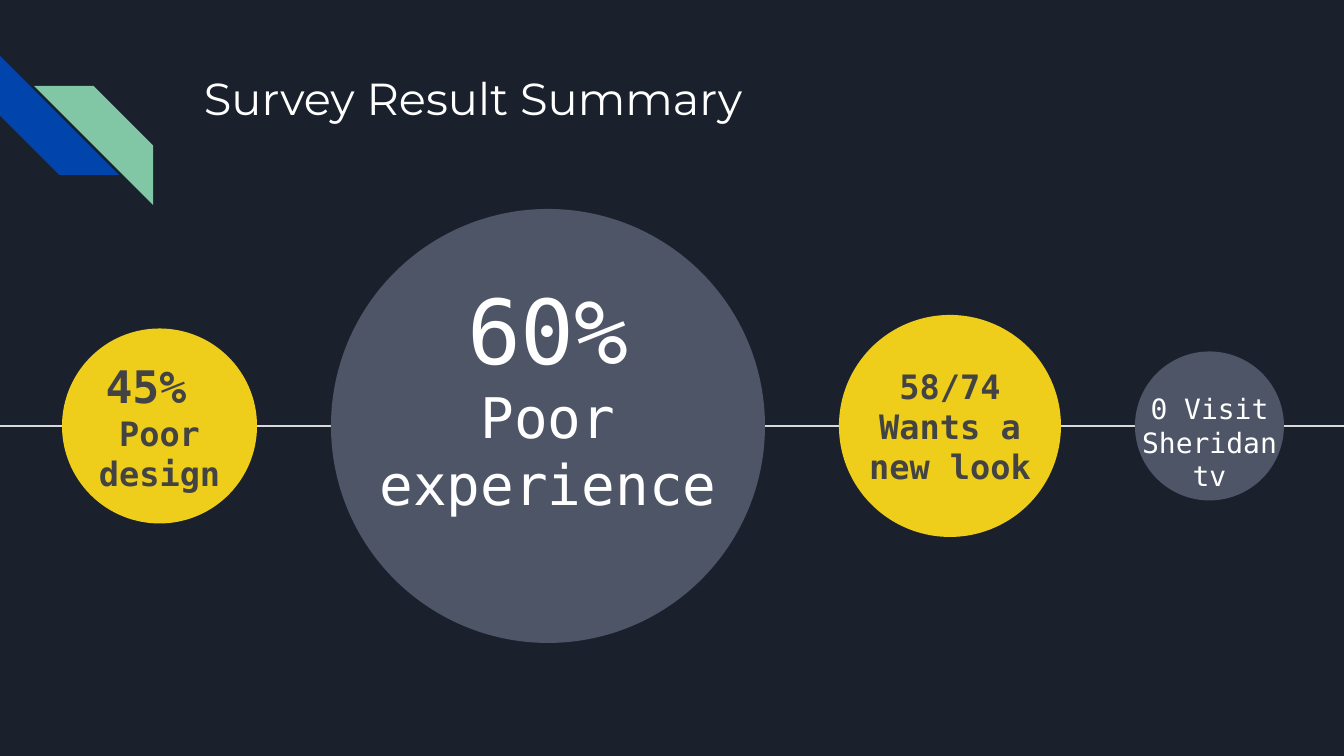
from lxml.etree import SubElement
from pptx import Presentation
from pptx.dml.color import RGBColor
from pptx.enum.shapes import MSO_CONNECTOR as Connector, MSO_SHAPE as Shape
from pptx.enum.text import MSO_ANCHOR as Anchor, PP_ALIGN as Align
from pptx.oxml.ns import qn
from pptx.util import Pt

WIDTH, HEIGHT = 1344, 756
AXIS_Y = 426
FIRST_LEFT, GAP = 62, 74
LABEL_HEIGHT = 89
STRIPE_SIZE = 119
YELLOW, SLATE, WHITE, DARK = "EECE1A", "4E5567", "FFFFFF", "434343"
MONO = "DejaVu Sans Mono"

TITLE = "Survey Result Summary"
STRIPES = [(0, 56, 270, "0145AC"), (34, 86, 90, "82C7A5")]
RESULTS = [
    dict(size=195, fill=YELLOW, color=DARK, bold=True, width=195, shift=0,
         lines=[("45% ", 24), ("Poor design", 18)]),
    dict(size=434, fill=SLATE, color=WHITE, bold=False, width=434, shift=-30,
         lines=[("60%", 48), ("Poor experience", 30)]),
    dict(size=222, fill=YELLOW, color=DARK, bold=True, width=222, shift=0,
         lines=[("58/74", 18), ("Wants a new look", 18)]),
    dict(size=149, fill=SLATE, color=WHITE, bold=False, width=168, shift=16,
         lines=[("0 Visit", 15), ("Sheridan tv", 15)]),
]


def px(value):
    return round(value * 914400 / 134.4)


def rgb(value):
    return RGBColor.from_string(value)


def add_filled(page, kind, left, top, size, fill):
    shape = page.shapes.add_shape(kind, px(left), px(top), px(size), px(size))
    shape.shadow.inherit = False
    shape.fill.solid()
    shape.fill.fore_color.rgb = rgb(fill)
    shape.line.fill.background()
    return shape


def add_text(page, lines, left, top, width, height, *, font, color,
             bold=False, align=Align.LEFT, anchor=Anchor.TOP):
    box = page.shapes.add_textbox(px(left), px(top), px(width), px(height))
    frame = box.text_frame
    frame.word_wrap = True
    frame.vertical_anchor = anchor
    frame.margin_left = frame.margin_right = px(13)
    frame.margin_top = frame.margin_bottom = px(13)
    for index, (text, size) in enumerate(lines):
        para = frame.add_paragraph() if index else frame.paragraphs[0]
        para.alignment = align
        span = para.add_run()
        span.text = text
        span.font.name = font
        span.font.size = Pt(size)
        span.font.bold = bold
        span.font.color.rgb = rgb(color)


def main():
    deck = Presentation()
    deck.slide_width, deck.slide_height = px(WIDTH), px(HEIGHT)
    page = deck.slides.add_slide(deck.slide_layouts[6])
    page.background.fill.solid()
    page.background.fill.fore_color.rgb = rgb("1B212C")

    for left, top, rotation, fill in STRIPES:
        stripe = add_filled(page, Shape.DIAGONAL_STRIPE, left, top, STRIPE_SIZE, fill)
        stripe.adjustments[0] = 0.5
        stripe.rotation = rotation

    axis = page.shapes.add_connector(
        Connector.STRAIGHT, 0, px(AXIS_Y), px(WIDTH), px(AXIS_Y))
    axis.line.color.rgb = rgb("D9D9D9")
    axis.line.width = Pt(1.5)
    SubElement(axis._element.spPr, qn("a:effectLst"))

    add_text(page, [(TITLE, 24)], 191, 58, 1035, 134, font="Montserrat", color=WHITE)

    left = FIRST_LEFT
    for result in RESULTS:
        size, width = result["size"], result["width"]
        add_filled(page, Shape.OVAL, left, AXIS_Y - size / 2, size, result["fill"])
        add_text(page, result["lines"], left + (size - width) / 2,
                 AXIS_Y + result["shift"] - LABEL_HEIGHT / 2, width, LABEL_HEIGHT,
                 font=MONO, color=result["color"], bold=result["bold"],
                 align=Align.CENTER, anchor=Anchor.MIDDLE)
        left += size + GAP

    deck.save("out.pptx")


if __name__ == "__main__":
    main()
